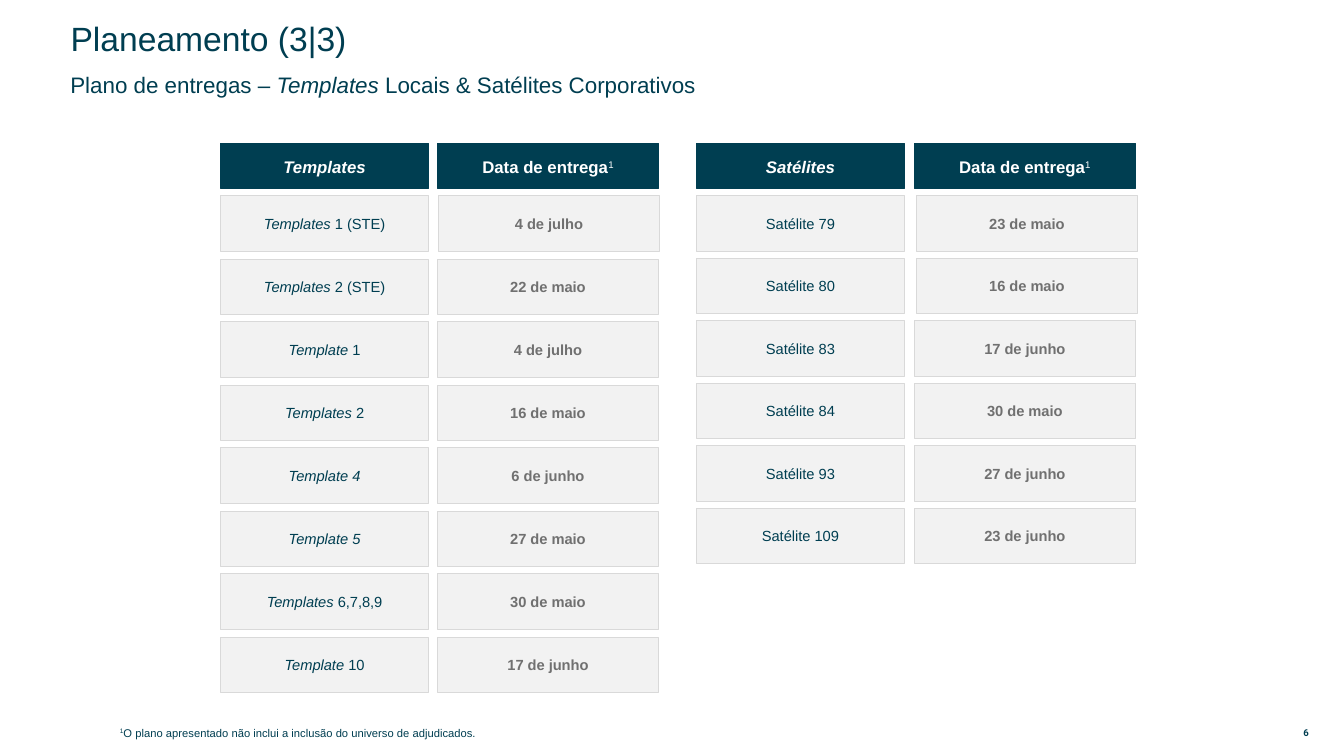
from dataclasses import dataclass

import pptx
import pptx.dml.color
import pptx.enum.shapes
import pptx.enum.text
import pptx.oxml.ns
import pptx.util

RGB = pptx.dml.color.RGBColor
ALIGN = pptx.enum.text.PP_ALIGN
ANCHOR = pptx.enum.text.MSO_ANCHOR

PX = 9144  # EMU per px, 100 px to the inch
PETROL = RGB(0x00, 0x3E, 0x51)
WHITE = RGB(0xFF, 0xFF, 0xFF)
GREY_TEXT = RGB(0x70, 0x70, 0x70)
GREY_FILL = RGB(0xF2, 0xF2, 0xF2)
GREY_LINE = RGB(0xD9, 0xD9, 0xD9)

HEAD_TOP, HEAD_H = 142, 45
ROW_TOP, ROW_H = 194, 55
NAME_W, DATE_W = 206, 219


@dataclass(frozen=True)
class Run:
    text: str
    italic: bool = False
    bold: bool = False
    superscript: bool = False


@dataclass(frozen=True)
class Delivery:
    name: list[Run]
    date: str


@dataclass(frozen=True)
class Plan:
    heading: str
    name_x: int
    date_x: int
    last_top: int
    nudged_rows: int  # leading rows whose date box sits further right
    nudge: int
    deliveries: list[Delivery]


def italic_then_plain(italic: str, plain: str = "") -> list[Run]:
    runs = [Run(italic, italic=True)]
    return runs + [Run(plain)] if plain else runs


PLANS = [
    Plan("Templates", 219, 434, 632, 1, 1, [
        Delivery(italic_then_plain("Templates ", "1 (STE)"), "4 de julho"),
        Delivery(italic_then_plain("Templates ", "2 (STE)"), "22 de maio"),
        Delivery(italic_then_plain("Template ", "1"), "4 de julho"),
        Delivery(italic_then_plain("Templates ", "2"), "16 de maio"),
        Delivery(italic_then_plain("Template 4"), "6 de junho"),
        Delivery(italic_then_plain("Template 5"), "27 de maio"),
        Delivery(italic_then_plain("Templates", " 6,7,8,9"), "30 de maio"),
        Delivery(italic_then_plain("Template ", "10"), "17 de junho"),
    ]),
    Plan("Satélites", 691, 907, 504, 2, 2, [
        Delivery([Run("Satélite 79")], "23 de maio"),
        Delivery([Run("Satélite 80")], "16 de maio"),
        Delivery([Run("Satélite 83")], "17 de junho"),
        Delivery([Run("Satélite 84")], "30 de maio"),
        Delivery([Run("Satélite 93")], "27 de junho"),
        Delivery([Run("Satélite 109")], "23 de junho"),
    ]),
]


def write(tf, runs: list[Run], *, size: float, color: RGB = PETROL,
          font: str = "Arial", align=ALIGN.LEFT, anchor=ANCHOR.MIDDLE,
          spacing: float = 1.0, margins: tuple[int, int] = (10, 5)) -> None:
    tf.word_wrap = True
    tf.auto_size = pptx.enum.text.MSO_AUTO_SIZE.NONE
    tf.vertical_anchor = anchor
    tf.margin_left = tf.margin_right = margins[0] * PX
    tf.margin_top = tf.margin_bottom = margins[1] * PX
    p = tf.paragraphs[0]
    p.alignment = align
    p.line_spacing = spacing
    p.space_before = pptx.util.Pt(0)
    for run in runs:
        r = p.add_run()
        r.text = run.text
        r.font.name = font
        r.font.size = pptx.util.Pt(size)
        r.font.color.rgb = color
        r.font.bold = run.bold
        r.font.italic = run.italic
        if run.superscript:
            r.font._element.set("baseline", "30000")


def add_text(s, x: int, y: int, w: int, h: int, runs: list[Run], **fmt) -> None:
    sp = s.shapes.add_textbox(x * PX, y * PX, w * PX, h * PX)
    write(sp.text_frame, runs, **fmt)


def add_box(s, x: int, y: int, w: int, h: int, runs: list[Run], *,
            fill: RGB = GREY_FILL, line: RGB = GREY_LINE,
            line_width: float = 0.5, **fmt) -> None:
    sp = s.shapes.add_shape(pptx.enum.shapes.MSO_SHAPE.RECTANGLE,
                            x * PX, y * PX, w * PX, h * PX)
    sp.shadow.inherit = False
    sp.fill.solid()
    sp.fill.fore_color.rgb = fill
    sp.line.color.rgb = line
    sp.line.width = pptx.util.Pt(line_width)
    write(sp.text_frame, runs, align=ALIGN.CENTER, **fmt)


def add_plan(s, plan: Plan) -> None:
    # Column headings
    date_heading = [Run("Data de entrega", bold=True), Run("1", superscript=True)]
    for x, w, runs in (
        (plan.name_x, NAME_W, [Run(plan.heading, bold=True, italic=True)]),
        (plan.date_x, DATE_W, date_heading),
    ):
        add_box(s, x, HEAD_TOP, w, HEAD_H, runs, fill=PETROL, line=PETROL,
                line_width=0.75, size=12, color=WHITE, spacing=1.1,
                margins=(4, 4))
    # Rows, spread evenly from the first top to the last
    pitch = (plan.last_top - ROW_TOP) / (len(plan.deliveries) - 1)
    for i, delivery in enumerate(plan.deliveries):
        y = ROW_TOP + round(i * pitch)
        date_x = plan.date_x + (plan.nudge if i < plan.nudged_rows else 0)
        add_box(s, plan.name_x, y, NAME_W, ROW_H, delivery.name,
                size=10.5, margins=(4, 4))
        add_box(s, date_x, y, DATE_W, ROW_H, [Run(delivery.date, bold=True)],
                size=10.5, color=GREY_TEXT, margins=(12, 4))


def main() -> None:
    prs = pptx.Presentation()
    prs.slide_width, prs.slide_height = 1333 * PX, 750 * PX
    s = prs.slides.add_slide(prs.slide_layouts.get_by_name("Title Only"))

    # Title and subtitle
    title = s.shapes.title
    title.left, title.top = 60 * PX, 27 * PX
    title.width, title.height = 795 * PX, 26 * PX
    write(title.text_frame, [Run("Planeamento (3|3)")], size=24, spacing=0.9)
    add_text(s, 60, 73, 766, 26,
             [Run("Plano de entregas – "), Run("Templates", italic=True),
              Run(" Locais & Satélites Corporativos")], size=16, spacing=0.9)

    # Delivery plans
    for plan in PLANS:
        add_plan(s, plan)

    # Footnote and page number
    add_text(s, 109, 714, 1081, 24,
             [Run("1", superscript=True),
              Run("O plano apresentado não inclui a inclusão do universo de adjudicados.")],
             size=8, anchor=ANCHOR.TOP, spacing=1.1)
    add_text(s, 1273, 719, 45, 16, [Run("6", bold=True)], size=6.8,
             font="Roboto", align=ALIGN.CENTER, margins=(6, 3))

    prs.save("out.pptx")


if __name__ == "__main__":
    main()
